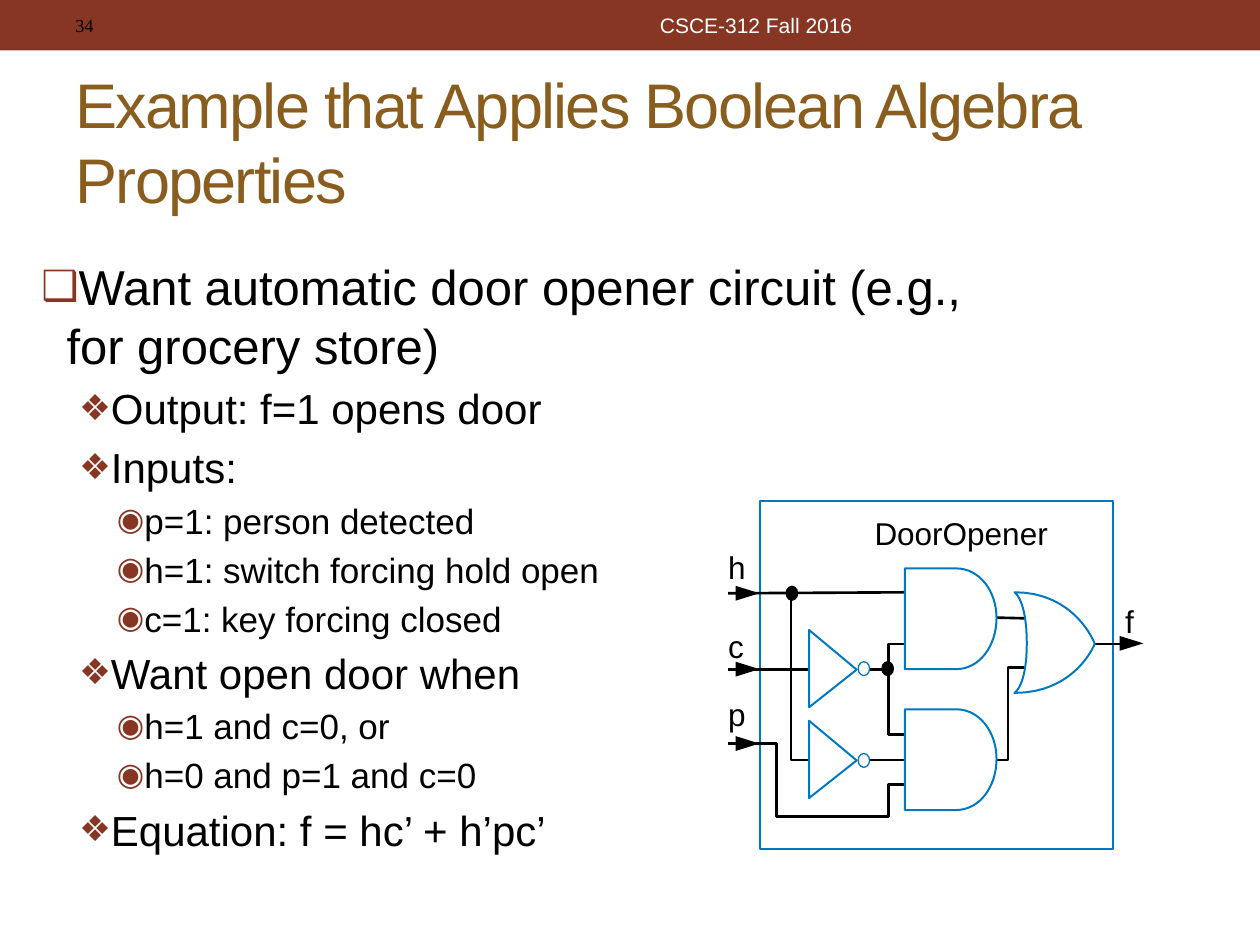
"""Build the door opener slide with its Boolean circuit."""
from lxml.etree import SubElement
from pptx import Presentation
from pptx.dml.color import RGBColor
from pptx.enum.shapes import MSO_CONNECTOR as Link, MSO_SHAPE as Preset
from pptx.enum.text import MSO_ANCHOR as Anchor, MSO_AUTO_SIZE as Fit, PP_ALIGN as Align
from pptx.oxml.ns import qn
from pptx.util import Cm, Pt

RUST, BLUE, BLACK, WHITE = "873624", "0078C1", "000000", "FFFFFF"


def paint(shape, fill, line, width=1.13):
    """Set fill and line from hex strings, None meaning no paint."""
    shape.shadow.inherit = False
    for part, color in ((shape.fill, fill), (shape.line.fill, line)):
        if color:
            part.solid()
            part.fore_color.rgb = RGBColor.from_string(color)
        else:
            part.background()
    if line:
        shape.line.width = Pt(width)


def curve(*corners):
    """Return points along a cubic curve with four control points."""
    steps = [n / 16 for n in range(17)]
    return [tuple((1 - t) ** 3 * a + 3 * t * (1 - t) ** 2 * b + 3 * t * t * (1 - t) * c + t ** 3 * d
                  for a, b, c, d in zip(*corners)) for t in steps]


deck = Presentation()
deck.slide_width, deck.slide_height = Cm(25.4), Cm(19.05)
page = deck.slides.add_slide(deck.slide_layouts[1])

banner = page.shapes.add_shape(Preset.RECTANGLE, 0, 0, Cm(25.4), Cm(1.02))
paint(banner, RUST, None)

title, body = page.placeholders
circuit = page.shapes.add_group_shape().shapes
number = page.shapes.add_textbox(Cm(1.27), Cm(0.05), Cm(8.05), Cm(0.91))
course = page.shapes.add_textbox(Cm(9.53), Cm(0.05), Cm(11.43), Cm(0.91))
for box, place in ((title, (1.27, 1.47, 22.86, 2.74)), (body, (0.58, 5.05, 19.86, 11))):
    box.left, box.top, box.width, box.height = map(Cm, place)

texts = [
    (title, "Example that Applies Boolean Algebra Properties", 36, "Arial", "895D1D", Align.LEFT),
    (number, "34", 10.5, "Times New Roman", BLACK, Align.LEFT),
    (course, "CSCE-312 Fall 2016", 12, "Arial", WHITE, Align.CENTER),
]

items = [
    (0, "Want automatic door opener circuit (e.g., for grocery store)"),
    (1, "Output: f=1 opens door"),
    (1, "Inputs:"),
    (2, "p=1: person detected"),
    (2, "h=1: switch forcing hold open"),
    (2, "c=1: key forcing closed"),
    (1, "Want open door when"),
    (2, "h=1 and c=0, or"),
    (2, "h=0 and p=1 and c=0"),
    (1, "Equation: f = hc’ + h’pc’"),
]
levels = [(28, 0.2, "❑", 85), (24, 0.5, "❖", 85), (20, 0.8, "◉", 90)]
body.text_frame.text = "\n".join(text for _, text in items)
body.text_frame.auto_size = Fit.NONE
for para, (level, _) in zip(body.text_frame.paragraphs, items):
    size, indent, mark, scale = levels[level]
    para.level = level
    for name, value in {"size": Pt(size), "name": "Arial"}.items():
        setattr(para.runs[0].font, name, value)
    para.runs[0].font.color.rgb = RGBColor.from_string(BLACK)
    props = para._p.get_or_add_pPr()
    props.set("marL", str(Cm(indent * 2.54)))
    props.set("indent", str(-Cm(0.51)))
    SubElement(SubElement(props, qn("a:buClr")), qn("a:srgbClr"), val=RUST)
    SubElement(props, qn("a:buSzPct"), val=str(scale * 1000))
    SubElement(props, qn("a:buChar"), char=mark)

frame = circuit.add_shape(Preset.RECTANGLE, Cm(15.32), Cm(10.11), Cm(7.11), Cm(7.01))
paint(frame, None, BLUE)

straight_wires = [
    ((14.68, 11.96), (18.24, 11.94)),
    ((14.68, 13.49), (16.31, 13.49)),
    ((17.35, 13.49), (17.91, 13.49)),
    ((17.35, 15.32), (18.24, 15.32)),
    ((20.07, 12.45), (20.9, 12.47)),
    ((22.07, 12.98), (22.68, 12.98)),
]
for start, end in straight_wires:
    wire = circuit.add_connector(Link.STRAIGHT, *map(Cm, start + end))
    wire.line.color.rgb = RGBColor.from_string(BLACK)
    wire.line.width = Pt(1.5)
    SubElement(wire._element.spPr, qn("a:effectLst"))

bent_wires = [
    [(18.24, 14.81), (17.91, 14.81), (17.91, 12.98), (18.24, 12.98)],
    [(16.31, 15.32), (15.95, 15.32), (15.95, 11.96)],
    [(14.68, 14.99), (15.65, 14.99), (15.65, 16.46), (17.91, 16.46), (17.91, 15.82), (18.24, 15.82)],
    [(20.09, 15.32), (20.32, 15.32), (20.32, 13.46), (20.65, 13.46)],
]
outlines = [(points, False, None, BLACK, 1.5) for points in bent_wires]
for top in (12.7, 14.53):
    inverter = [(16.31, top + 1.56), (17.27, top + 0.8), (16.31, top)]
    outlines.append((inverter, True, WHITE, BLUE, 1.13))
for top in (11.46, 14.3):
    middle, bottom = top + 1, top + 2.03
    and_gate = [(18.24, top), (18.24, bottom)]
    and_gate += curve((19.28, bottom), (19.74, bottom), (20.09, top + 1.57), (20.09, middle))
    and_gate += curve((20.09, middle), (20.09, top + 0.45), (19.74, top), (19.28, top))
    outlines.append((and_gate, True, WHITE, BLUE, 1.13))
tip, low, high, hollow = (22.07, 12.98), (20.45, 13.97), (20.45, 11.94), (20.7, 12.97)
or_gate = curve(tip, tip, (21.69, 13.97), low) + curve(low, low, (20.7, 13.84), hollow)
or_gate += curve(hollow, (20.7, 12.08), high, high) + curve(high, (21.69, 11.94), tip, tip)
outlines.append((or_gate, True, WHITE, BLUE, 1.13))
for x, y in ((14.83, 11.96), (14.83, 13.49), (14.83, 14.99), (22.57, 12.97)):
    outlines.append(([(x + 0.48, y), (x, y - 0.15), (x, y + 0.15)], True, BLACK, None, 0))

for points, closed, fill, line, width in outlines:
    corners = [(Cm(x), Cm(y)) for x, y in points]
    pen = circuit.build_freeform(*corners[0])
    pen.add_line_segments(corners[1:], close=closed)
    paint(pen.convert_to_shape(), fill, line, width)

dots = [
    (17.3, 13.34, WHITE, BLUE),
    (17.3, 15.19, WHITE, BLUE),
    (15.85, 11.82, BLACK, BLACK),
    (17.78, 13.34, BLACK, BLACK),
]
for x, y, fill, line in dots:
    dot = circuit.add_shape(Preset.OVAL, Cm(x), Cm(y), Cm(0.23), Cm(0.28))
    paint(dot, fill, line, 0.75)

labels = [
    ("f", 22.68, 12.14, 0.18),
    ("h", 14.68, 11.05, 0.36),
    ("c", 14.68, 12.65, 0.33),
    ("p", 14.68, 14.02, 0.36),
    ("DoorOpener", 17.63, 10.36, 3.53),
]
for text, x, y, width in labels:
    label = circuit.add_textbox(Cm(x), Cm(y), Cm(width), Cm(0.76))
    for side in ("left", "right", "top", "bottom"):
        setattr(label.text_frame, f"margin_{side}", 0)
    texts.append((label, text, 18, "Arial", BLACK, Align.LEFT))

for box, text, size, font, color, align in texts:
    loose = size == 18
    layout = {
        "text": text,
        "word_wrap": not loose,
        "auto_size": Fit.SHAPE_TO_FIT_TEXT if loose else Fit.NONE,
        "vertical_anchor": Anchor.TOP if loose else Anchor.MIDDLE,
    }
    for name, value in layout.items():
        setattr(box.text_frame, name, value)
    para = box.text_frame.paragraphs[0]
    para.alignment = align
    for name, value in {"size": Pt(size), "name": font}.items():
        setattr(para.runs[0].font, name, value)
    para.runs[0].font.color.rgb = RGBColor.from_string(color)
title.text_frame.paragraphs[0].runs[0].font._element.set("spc", "-100")

deck.save("out.pptx")
